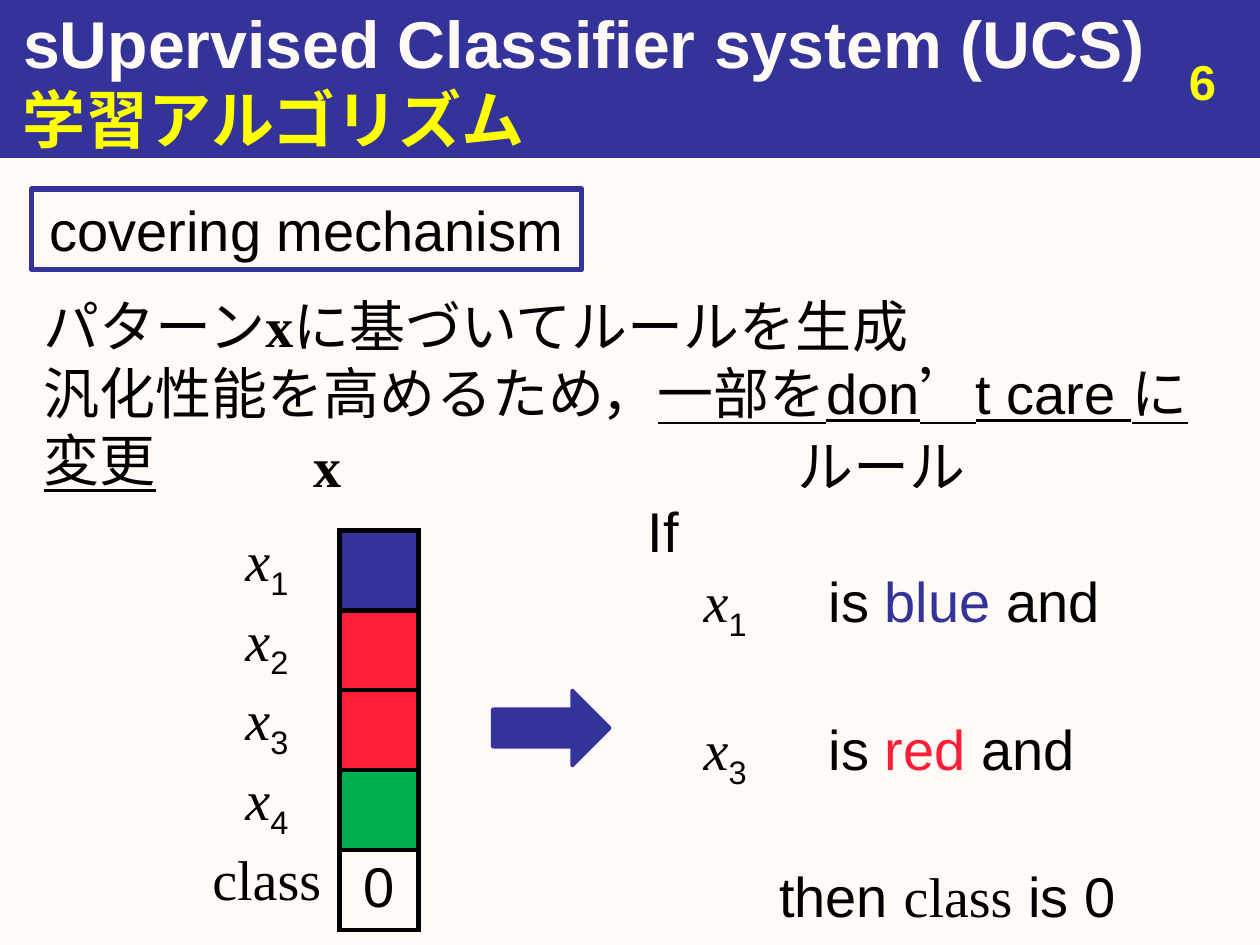
from lxml import etree
from pptx import Presentation
from pptx.dml.color import RGBColor
from pptx.enum.shapes import MSO_SHAPE
from pptx.enum.text import MSO_ANCHOR, MSO_AUTO_SIZE, PP_ALIGN
from pptx.oxml.ns import qn
from pptx.util import Pt

RECT, ARROW = MSO_SHAPE.RECTANGLE, MSO_SHAPE.RIGHT_ARROW
LEFT, CENTER, RIGHT = PP_ALIGN.LEFT, PP_ALIGN.CENTER, PP_ALIGN.RIGHT
TOP, MIDDLE = MSO_ANCHOR.TOP, MSO_ANCHOR.MIDDLE
NO_AUTOFIT = MSO_AUTO_SIZE.NONE

NAVY, RED, GREEN = "333399", "FF1D38", "00B050"
CREAM, YELLOW, BLACK = "FFFAF5", "FFFF00", "000000"
SANS, SERIF = "Arial", "Times New Roman"

BOLD = {"name": SERIF, "bold": True}
VARIABLE = {"name": SERIF, "italic": True}
SUBSCRIPT = {"subscript": True}


def rgb(value):
    return RGBColor.from_string(value)


def add_runs(paragraph, runs, align=LEFT, **base):
    """Add (text, format) pairs; each format overrides the base one."""
    paragraph.alignment = align
    for text, changes in runs:
        run = paragraph.add_run()
        run.text = text
        look = {"name": SANS, "size": 32, "color": BLACK, **base, **changes}
        run.font.color.rgb = rgb(look.pop("color"))
        run.font.size = Pt(look.pop("size"))
        if look.pop("subscript", False):
            run.font._element.set("baseline", "-25000")
        for name, value in look.items():
            setattr(run.font, name, value)


def add_text(slide, box, paragraphs, align=LEFT, anchor=TOP, **base):
    frame = slide.shapes.add_textbox(*map(Pt, box)).text_frame
    frame.word_wrap = True
    frame.vertical_anchor = anchor
    for i, runs in enumerate(paragraphs):
        paragraph = frame.add_paragraph() if i else frame.paragraphs[0]
        add_runs(paragraph, runs, align, **base)
    return frame


def add_block(slide, kind, box, fill, line_width):
    block = slide.shapes.add_shape(kind, *map(Pt, box))
    block.shadow.inherit = False
    if fill:
        block.fill.solid()
        block.fill.fore_color.rgb = rgb(fill)
    else:
        block.fill.background()
    block.line.color.rgb = rgb(NAVY)
    block.line.width = Pt(line_width)
    return block


def add_header(slide, box, heading, subheading, number):
    left, top, width, height = box
    band = add_block(slide, RECT, box, NAVY, 0.75)
    title = slide.shapes.title
    title.element.addprevious(band.element)
    place = {"left": left + 6, "top": top, "width": width - 6, "height": 48}
    for name, value in place.items():
        setattr(title, name, Pt(value))
    frame = title.text_frame
    frame.auto_size = NO_AUTOFIT
    frame.vertical_anchor = MIDDLE
    add_runs(frame.paragraphs[0], [(heading, {})], size=37.8, color=CREAM, bold=True)
    add_text(slide, (left + width - 186, top + 26, 168, 37), [[(number, {})]],
             RIGHT, size=28, color=YELLOW, bold=True)
    add_text(slide, (left + 6, top + 45, width - 6, height - 45), [[(subheading, {})]],
             anchor=MIDDLE, size=36, color=YELLOW, bold=True)


def add_mechanism(slide, box):
    frame = add_block(slide, RECT, box, None, 3).text_frame
    frame.word_wrap = True
    add_runs(frame.paragraphs[0], [("covering mechanism", {})], CENTER)


def set_borders(cell, color):
    """Draw all four cell borders, or hide them when color is None."""
    properties = cell._tc.get_or_add_tcPr()
    for i, side in enumerate(("lnL", "lnR", "lnT", "lnB")):
        line = etree.Element(qn(f"a:{side}"), w=str(Pt(3)))
        if color:
            fill = etree.SubElement(line, qn("a:solidFill"))
            etree.SubElement(fill, qn("a:srgbClr"), val=color)
        else:
            etree.SubElement(line, qn("a:noFill"))
        properties.insert(i, line)


def add_pattern(slide, box, colors, label_width):
    """Table of the attributes x1, x2, ... and the class of one pattern."""
    rows = [([("x", VARIABLE), (str(i), SUBSCRIPT)], color, None)
            for i, color in enumerate(colors, 1)]
    rows.append(([("class", {"name": SERIF})], None, "0"))
    width, height = box[2:]
    table = slide.shapes.add_table(len(rows), 2, *map(Pt, box)).table
    table.first_row = table.horz_banding = False
    table.columns[0].width = Pt(label_width)
    table.columns[1].width = Pt(width - label_width)
    for r, (label, color, value) in enumerate(rows):
        table.rows[r].height = Pt(height / len(rows))
        name, state = table.cell(r, 0), table.cell(r, 1)
        for side in ("left", "right", "top", "bottom"):
            setattr(name, f"margin_{side}", 0)
        name.fill.background()
        if color:
            state.fill.solid()
            state.fill.fore_color.rgb = rgb(color)
        else:
            state.fill.background()
        set_borders(name, None)
        set_borders(state, BLACK)
        add_runs(name.text_frame.paragraphs[0], label, CENTER)
        if value:
            add_runs(state.text_frame.paragraphs[0], [(value, {})], CENTER)


def add_tab_stops(paragraph, positions):
    stops = etree.SubElement(paragraph._p.get_or_add_pPr(), qn("a:tabLst"))
    for position in positions:
        etree.SubElement(stops, qn("a:tab"), pos=str(Pt(position)), algn="l")


def add_rule(slide, box, conditions):
    lines = [[("If", {})]]
    for index, color, word in conditions:
        lines.append([("\tx", VARIABLE), (index, SUBSCRIPT), ("\tis ", {}),
                      (word, {"color": color}), (" and", {})])
    lines.append([("then ", {}), ("class", {"name": SERIF}), (" is 0", {})])
    paragraphs = add_text(slide, box, lines).paragraphs
    for paragraph, gap in zip(paragraphs[1:], (2, 40.5, 40.5)):
        paragraph.space_before = Pt(gap)
    for paragraph in paragraphs[1:-1]:
        add_tab_stops(paragraph, (32, 103.5))
    paragraphs[-1].alignment = RIGHT


def main():
    deck = Presentation()
    deck.slide_width, deck.slide_height = Pt(720), Pt(540)
    slide = deck.slides.add_slide(deck.slide_layouts[5])
    slide.background.fill.solid()
    slide.background.fill.fore_color.rgb = rgb(CREAM)

    add_header(slide, (0, 0, 720, 90), "sUpervised Classifier system (UCS)",
               "学習アルゴリズム", "6")
    add_mechanism(slide, (18, 108, 314.5, 46))
    add_text(slide, (18, 163, 691, 85), [
        [("パターン", {}), ("x", BOLD), ("に基づいてルールを生成", {})],
        [("汎化性能を高めるため，", {}), ("一部をdon’t care に変更", {"underline": True})],
    ])
    add_text(slide, (148, 243, 78, 46), [[("x", BOLD)]], CENTER)
    add_pattern(slide, (111, 303, 128, 228.5), (NAVY, RED, RED, GREEN), 83)
    add_block(slide, ARROW, (281.5, 394.5, 67, 43), NAVY, 2)
    add_text(slide, (442, 243, 123, 46), [[("ルール", {})]], CENTER)
    add_rule(slide, (363, 280, 281.5, 240), [("1", NAVY, "blue"), ("3", RED, "red")])
    deck.save("out.pptx")


if __name__ == "__main__":
    main()
